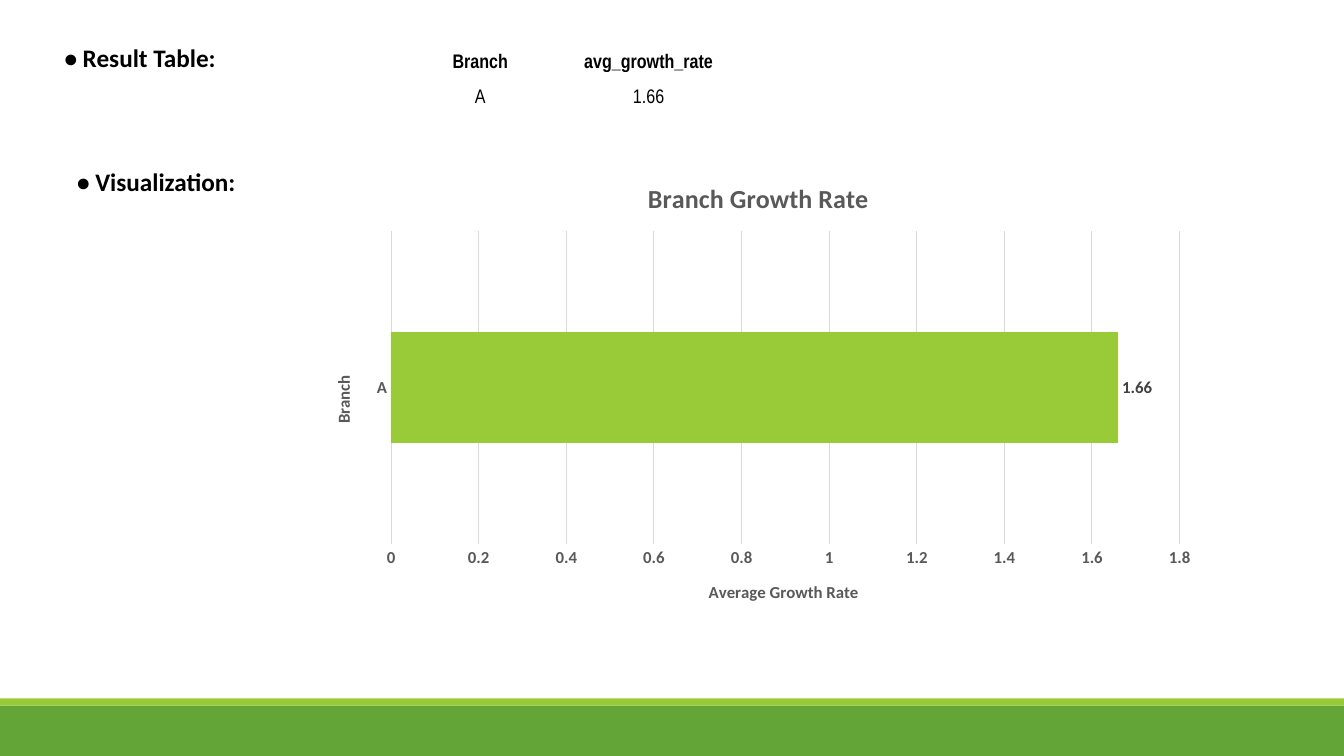
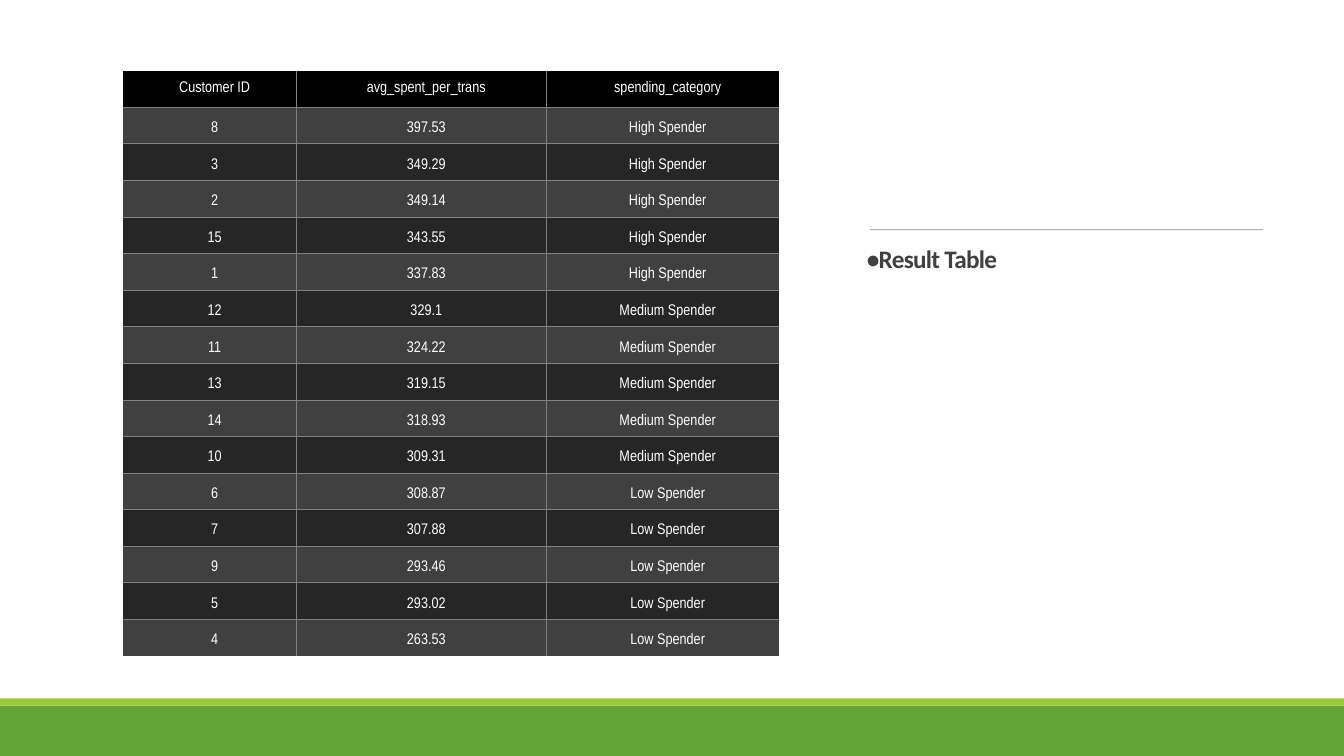
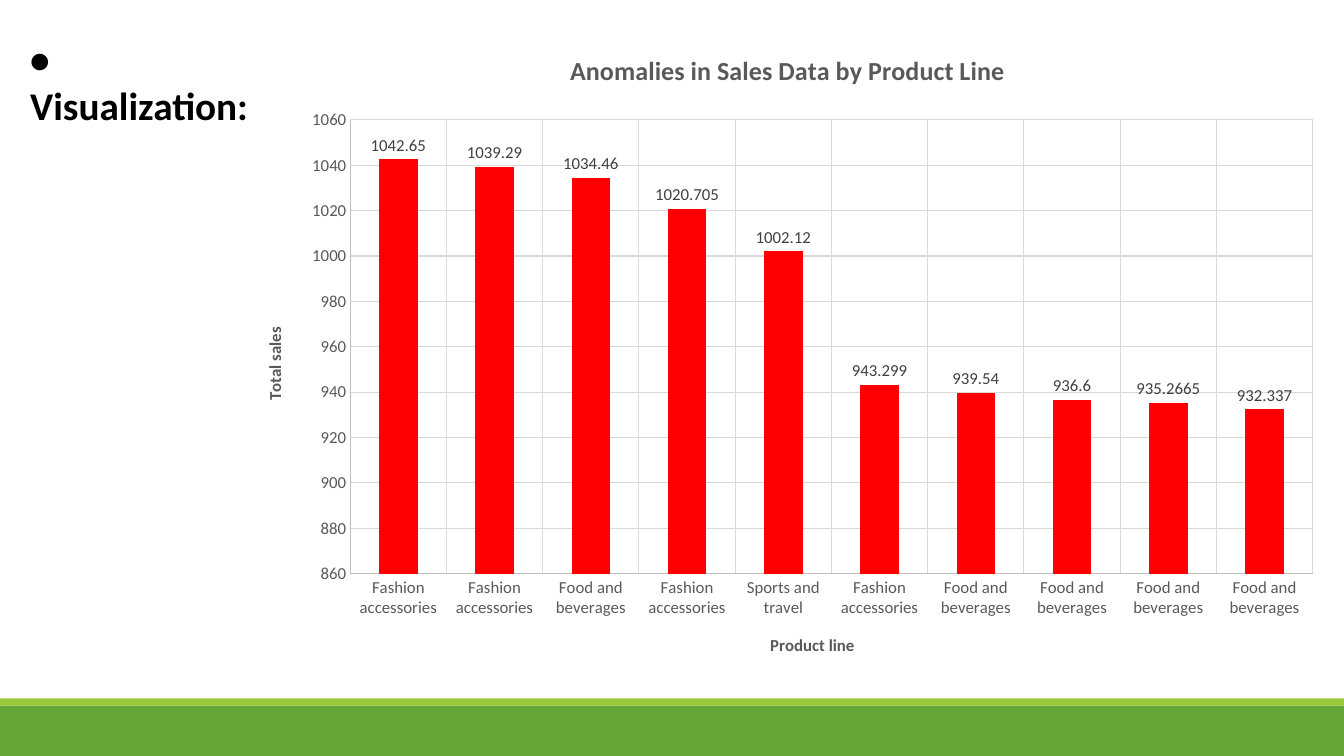
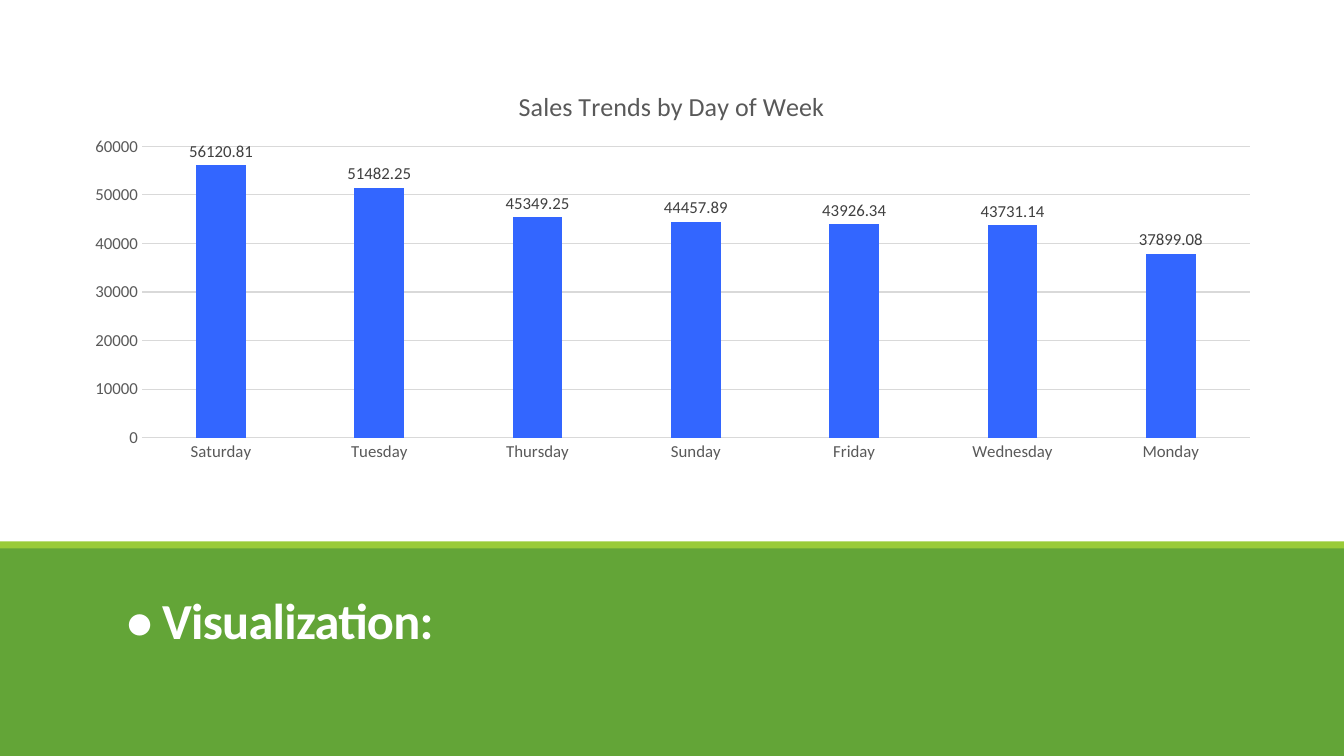
from lxml.etree import SubElement
from pptx import Presentation
from pptx.chart.data import CategoryChartData
from pptx.dml.color import RGBColor
from pptx.enum.chart import XL_CHART_TYPE, XL_LABEL_POSITION, XL_TICK_MARK
from pptx.enum.shapes import MSO_CONNECTOR, MSO_SHAPE
from pptx.enum.text import MSO_ANCHOR, MSO_AUTO_SIZE, PP_ALIGN
from pptx.oxml import parse_xml
from pptx.oxml.ns import nsdecls, qn
from pptx.util import Inches, Pt

GREEN = RGBColor(0x63, 0xA5, 0x37)
LIME = RGBColor(0x99, 0xCB, 0x38)
RED = RGBColor(0xFF, 0x00, 0x00)
BLUE = RGBColor(0x33, 0x66, 0xFF)
BLACK = RGBColor(0x00, 0x00, 0x00)
WHITE = RGBColor(0xFF, 0xFF, 0xFF)
CHARCOAL = RGBColor(0x26, 0x26, 0x26)
DARK = RGBColor(0x40, 0x40, 0x40)
SLATE = RGBColor(0x59, 0x59, 0x59)
GRAY = RGBColor(0x80, 0x80, 0x80)
SILVER = RGBColor(0xBF, 0xBF, 0xBF)
PALE = RGBColor(0xD9, 0xD9, 0xD9)

TEXT_FONT, TABLE_FONT = "Calibri", "Arial Narrow"
COLUMNS, ROWS = 40, 30
STRIP = 0.28  # height of the lime strip, in rows


class Deck:
    """Holds the style, the grid and the current slide."""

    def __init__(self):
        self.deck = Presentation()
        self.deck.slide_width, self.deck.slide_height = Inches(13.33), Inches(7.5)
        self.layout = self.deck.slide_layouts[5]
        for placeholder in list(self.layout.placeholders)[1:]:
            placeholder.element.getparent().remove(placeholder.element)
        self.slide = None

    def x(self, columns):
        return round(self.deck.slide_width * columns / COLUMNS)

    def y(self, rows):
        return round(self.deck.slide_height * rows / ROWS)

    def area(self, left, top, width, height):
        return self.x(left), self.y(top), self.x(width), self.y(height)

    def new_slide(self):
        self.slide = self.deck.slides.add_slide(self.layout)

    def band(self, top, height, color):
        band = self.slide.shapes.add_shape(
            MSO_SHAPE.RECTANGLE, *self.area(0, top, COLUMNS, height))
        band.shadow.inherit = False
        band.fill.solid()
        band.fill.fore_color.rgb = color
        band.line.fill.background()
        return band

    def shared_bands(self):
        """Build the footer bands once and hand them to the layout."""
        for band in (self.band(28, 2, GREEN), self.band(28 - STRIP, STRIP, LIME)):
            self.layout.shapes.element.append(band.element)

    def style(self, font, size, color, bold=False, name=TEXT_FONT):
        font.name, font.size, font.bold = name, Pt(size), bold
        font.color.rgb = color

    def add_run(self, paragraph, text, size, color, bold=False, name=TEXT_FONT):
        run = paragraph.add_run()
        run.text = text
        self.style(run.font, size, color, bold, name)
        return run

    def label(self, text, box, size, color=BLACK, title=True, anchor=MSO_ANCHOR.TOP,
              side_inset=0.1, line_spacing=1.0, after=0, tracking=None):
        area = self.area(*box)
        if title:
            label = self.slide.shapes.title
            label.left, label.top, label.width, label.height = area
            label.element.getparent().append(label.element)  # bring to front
        else:
            label = self.slide.shapes.add_textbox(*area)
        frame = label.text_frame
        frame.word_wrap, frame.auto_size = True, MSO_AUTO_SIZE.NONE
        frame.vertical_anchor = anchor
        frame.margin_left = frame.margin_right = Inches(side_inset)
        frame.margin_top = frame.margin_bottom = Inches(0.05)
        paragraph = frame.paragraphs[0]
        paragraph.alignment = PP_ALIGN.LEFT
        paragraph.line_spacing, paragraph.space_after = line_spacing, Pt(after)
        run = self.add_run(paragraph, text, size, color, bold=True)
        if tracking:
            run._r.get_or_add_rPr().set("spc", str(round(tracking * 100)))

    def rule(self, left, right, row):
        rule = self.slide.shapes.add_connector(
            MSO_CONNECTOR.STRAIGHT, self.x(left), self.y(row), self.x(right), self.y(row))
        rule.line.color.rgb, rule.line.width = GRAY, Pt(0.5)
        tint = next(rule.element.iter(qn("a:srgbClr")))
        SubElement(tint, qn("a:alpha")).set("val", "90000")
        SubElement(rule.element.spPr, qn("a:effectLst"))

    def table(self, records, left, top, widths, height, size, insets, color=BLACK,
              fills=None, header_bold=False, header_anchor=MSO_ANCHOR.BOTTOM, grid=False):
        """fills gives the header colour, then the two alternating body colours."""
        last_row, last_column = len(records) - 1, len(widths) - 1
        table = self.slide.shapes.add_table(
            len(records), len(widths), *self.area(left, top, sum(widths), height)).table
        table.first_row, table.horz_banding = bool(fills), False
        for column, width in zip(table.columns, widths):
            column.width = self.x(width)
        for r, record in enumerate(records):
            table.rows[r].height = self.y(height / len(records))
            for c, text in enumerate(record):
                cell = table.cell(r, c)
                (cell.margin_left, cell.margin_top,
                 cell.margin_right, cell.margin_bottom) = map(Inches, insets)
                cell.vertical_anchor = MSO_ANCHOR.BOTTOM if r else header_anchor
                if fills:
                    cell.fill.solid()
                    cell.fill.fore_color.rgb = fills[2 - r % 2] if r else fills[0]
                else:
                    cell.fill.background()
                paragraph = cell.text_frame.paragraphs[0]
                paragraph.alignment = PP_ALIGN.CENTER
                self.add_run(paragraph, text, size, color, header_bold and r == 0, TABLE_FONT)
                if grid:
                    self.borders(cell, L=c > 0, R=c < last_column, T=r > 0, B=r < last_row)

    def borders(self, cell, **sides):
        """Rule the inner sides of a cell and clear the outer ones."""
        properties = cell._tc.get_or_add_tcPr()
        for position, (side, ruled) in enumerate(sides.items()):
            fill = (f'<a:solidFill><a:srgbClr val="{GRAY}"/></a:solidFill>'
                    if ruled else "<a:noFill/>")
            properties.insert(position, parse_xml(
                f'<a:ln{side} {nsdecls("a")} w="{Pt(0.5)}">{fill}</a:ln{side}>'))

    def chart(self, title, box, plot_area, categories, values, color, scale, gap,
              kind=XL_CHART_TYPE.COLUMN_CLUSTERED, title_bold=True, bold=False, overlap=0,
              axis_titles=(None, None), lines=(PALE, None), category_grid=False):
        """scale is minimum, maximum, step; pairs run category axis, value axis."""
        data = CategoryChartData()
        data.categories = categories
        data.add_series("Series 1", values)
        chart = self.slide.shapes.add_chart(kind, *self.area(*box), data).chart
        chart.has_legend = False
        self.style(chart.font, 10, BLACK)
        chart.has_title = True
        chart.chart_title.include_in_layout = False
        self.add_run(chart.chart_title.text_frame.paragraphs[0], title, 18.6, SLATE, title_bold)

        # Bars and their labels
        plot = chart.plots[0]
        plot.gap_width, plot.overlap, plot.vary_by_categories = gap, overlap, False
        series = plot.series[0]
        series.format.fill.solid()
        series.format.fill.fore_color.rgb = color
        labels = series.data_labels
        labels.show_value, labels.position = True, XL_LABEL_POSITION.OUTSIDE_END
        self.style(labels.font, 12, DARK, bold)

        # Axes
        axes = chart.category_axis, chart.value_axis
        upright = 0 if kind == XL_CHART_TYPE.BAR_CLUSTERED else 1
        for i, (axis, name, line) in enumerate(zip(axes, axis_titles, lines)):
            axis.major_tick_mark = axis.minor_tick_mark = XL_TICK_MARK.NONE
            self.style(axis.tick_labels.font, 12, SLATE, bold)
            if line:
                axis.format.line.color.rgb, axis.format.line.width = line, Pt(0.75)
            else:
                axis.format.line.fill.background()
            axis.has_major_gridlines = i == 1 or category_grid
            if axis.has_major_gridlines:
                grid_line = axis.major_gridlines.format.line
                grid_line.color.rgb, grid_line.width = PALE, Pt(0.75)
            if name:
                frame = axis.axis_title.text_frame
                self.add_run(frame.paragraphs[0], name, 12, SLATE, True)
                if i == upright:
                    frame._txBody.bodyPr.set("rot", "-5400000")
        value_axis = axes[1]
        value_axis.minimum_scale, value_axis.maximum_scale, value_axis.major_unit = scale
        value_axis.tick_labels.number_format = "General"
        value_axis.tick_labels.number_format_is_linked = False

        # Inner plot area, as shares of the chart
        plot_element = next(chart.element.iter(qn("c:plotArea")))
        for old in plot_element.findall(qn("c:layout")):
            plot_element.remove(old)
        settings = [("layoutTarget", "inner"), ("xMode", "edge"), ("yMode", "edge"),
                    *zip("xywh", plot_area)]
        inner = "".join(f'<c:{tag} val="{value}"/>' for tag, value in settings)
        plot_element.insert(0, parse_xml(
            f'<c:layout {nsdecls("c")}><c:manualLayout>{inner}</c:manualLayout></c:layout>'))


def main():
    deck = Deck()

    # Branch growth
    deck.new_slide()
    deck.shared_bands()
    deck.label("• Result Table:", (1.62, 1.48, 6.33, 1.6), 18)
    deck.table([("Branch", "avg_growth_rate"), ("A", "1.66")], 12.54, 1.48, (3.51, 6.51), 2.8,
               size=14, insets=(0.01, 0.01, 0.01, 0), header_bold=True)
    deck.label("• Visualization:", (2, 6.4, 6.9, 1.6), 18, title=False)
    deck.chart("Branch Growth Rate", (9.24, 6.4, 26.67, 18.52), (0.09, 0.15, 0.88, 0.67),
               ["A"], [1.66], LIME, (0, 1.8, 0.2), 182, kind=XL_CHART_TYPE.BAR_CLUSTERED,
               bold=True, axis_titles=("Branch", "Average Growth Rate"))

    # Spending categories
    spending = {
        "High Spender": [("8", "397.53"), ("3", "349.29"), ("2", "349.14"),
                         ("15", "343.55"), ("1", "337.83")],
        "Medium Spender": [("12", "329.1"), ("11", "324.22"), ("13", "319.15"),
                           ("14", "318.93"), ("10", "309.31")],
        "Low Spender": [("6", "308.87"), ("7", "307.88"), ("9", "293.46"),
                        ("5", "293.02"), ("4", "263.53")],
    }
    customers = [("Customer ID", "avg_spent_per_trans", "spending_category")]
    customers += [(*customer, category)
                  for category, group in spending.items() for customer in group]
    deck.new_slide()
    deck.rule(25.89, 37.59, 9.12)
    deck.label("•Result Table", (25.8, 9.6, 12.12, 16.04), 18, DARK, side_inset=0,
               line_spacing=0.9, after=6, tracking=-0.5)
    deck.table(customers, 3.66, 2.8, (5.16, 7.44, 6.93), 23.24, size=11,
               insets=(0.1, 0.08, 0, 0.08), color=WHITE, fills=(BLACK, DARK, CHARCOAL),
               header_anchor=MSO_ANCHOR.MIDDLE, grid=True)

    # Sales anomalies
    fashion, food, sports = "Fashion accessories", "Food and beverages", "Sports and travel"
    deck.new_slide()
    deck.label("• Visualization:", (0.6, 1.16, 7.32, 6.04), 28)
    deck.chart("Anomalies in Sales Data by Product Line", (7.17, 1.16, 32.55, 25.72),
               (0.1, 0.14, 0.88, 0.7),
               [fashion, fashion, food, fashion, sports, fashion, food, food, food, food],
               [1042.65, 1039.29, 1034.46, 1020.705, 1002.12,
                943.299, 939.54, 936.6, 935.2665, 932.337],
               RED, (860, 1060, 20), 150, axis_titles=("Product line", "Total sales"),
               lines=(SILVER, SILVER), category_grid=True)

    # Sales by day
    deck.new_slide()
    deck.band(21.68, ROWS - 21.68, GREEN)
    deck.band(21.48, STRIP, LIME)
    deck.label("• Visualization:", (3.48, 22.4, 33, 3.6), 36, WHITE, anchor=MSO_ANCHOR.BOTTOM,
               line_spacing=0.85, after=6, tracking=-0.5)
    deck.chart("Sales Trends by Day of Week", (2.07, 2.8, 35.85, 15.84),
               (0.06, 0.19, 0.92, 0.73),
               ["Saturday", "Tuesday", "Thursday", "Sunday", "Friday", "Wednesday", "Monday"],
               [56120.81, 51482.25, 45349.25, 44457.89, 43926.34, 43731.14, 37899.08],
               BLUE, (0, 60000, 10000), 219, title_bold=False, overlap=-27)

    deck.deck.save("out.pptx")


if __name__ == "__main__":
    main()
